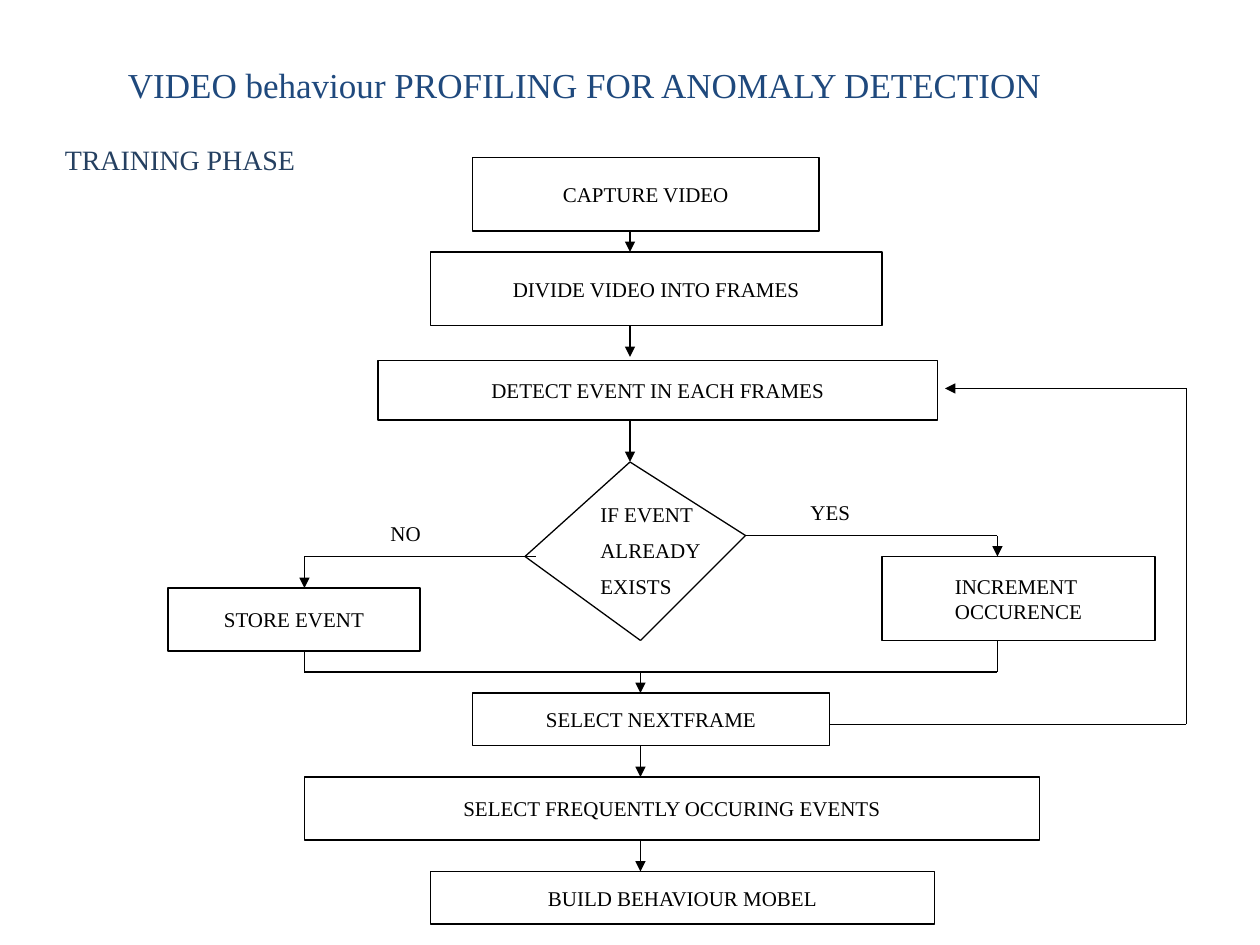
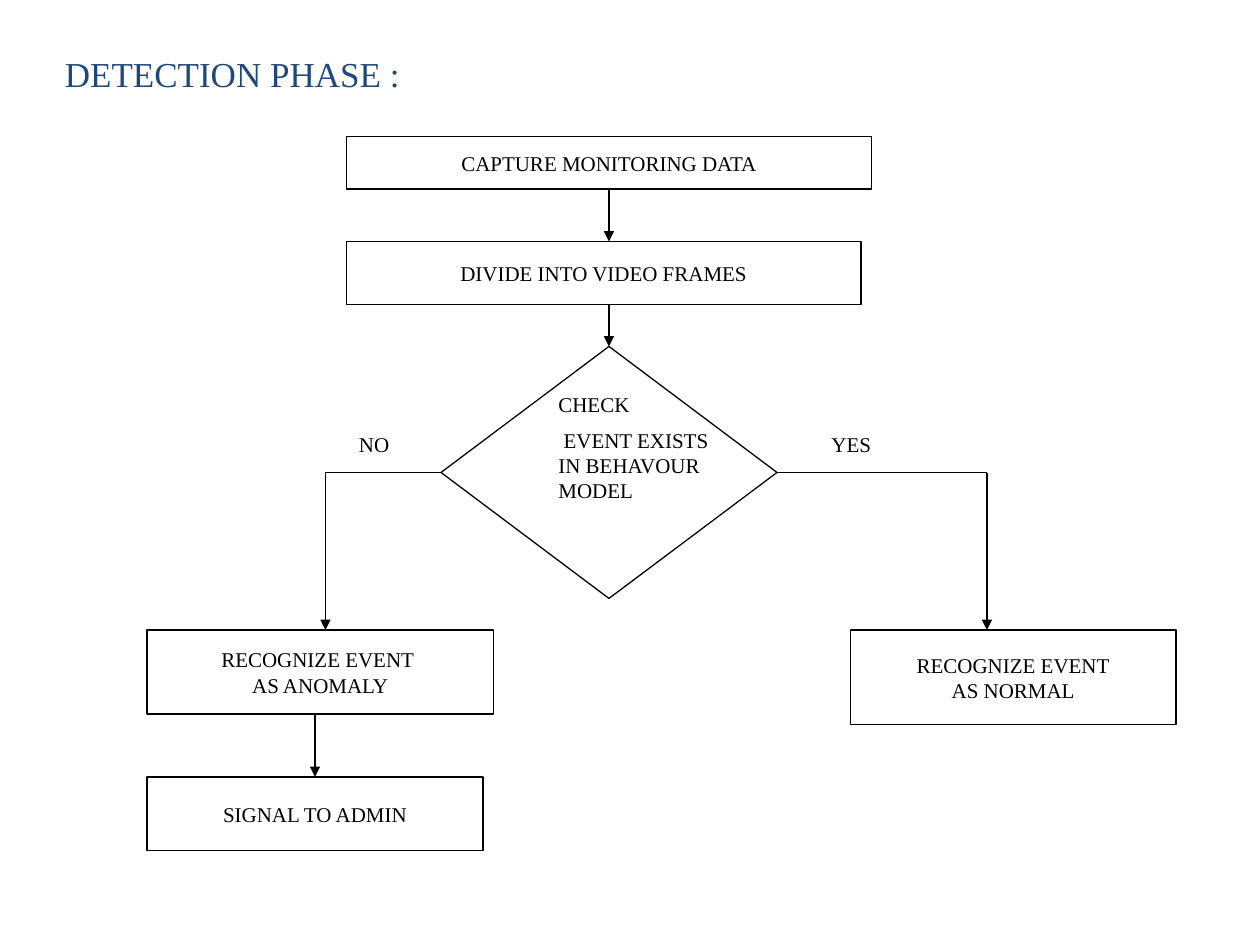
from lxml import etree
from pptx import Presentation
from pptx.dml.color import RGBColor
from pptx.enum.shapes import MSO_CONNECTOR, MSO_SHAPE
from pptx.enum.text import MSO_ANCHOR, MSO_AUTO_SIZE, PP_ALIGN
from pptx.oxml.ns import qn
from pptx.util import Cm, Pt

BLACK = RGBColor(0x00, 0x00, 0x00)
WHITE = RGBColor(0xFF, 0xFF, 0xFF)
TITLE_BLUE = RGBColor(0x1F, 0x49, 0x7D)
PHASE_BLUE = RGBColor(0x25, 0x40, 0x61)

RECTANGLE, DECISION = MSO_SHAPE.RECTANGLE, MSO_SHAPE.FLOWCHART_DECISION
STRAIGHT = MSO_CONNECTOR.STRAIGHT
TOP, MIDDLE = MSO_ANCHOR.TOP, MSO_ANCHOR.MIDDLE
LEFT, CENTER = PP_ALIGN.LEFT, PP_ALIGN.CENTER
GROW, FIXED = MSO_AUTO_SIZE.SHAPE_TO_FIT_TEXT, MSO_AUTO_SIZE.NONE
TOP_SITE, LEFT_SITE, BOTTOM_SITE, RIGHT_SITE = range(4)


def grid(*steps):
    """Turn steps of the drawing grid (twelve to the inch) into lengths."""
    return [Cm(step * 2.54 / 12) for step in steps]


def write(shape, text, size=12, color=BLACK, align=LEFT, anchor=TOP,
          gap=0, wrap=True, fit=FIXED, font="Times New Roman"):
    """Fill a shape with text, one paragraph to each line."""
    frame = shape.text_frame
    frame.word_wrap, frame.auto_size = wrap, fit
    frame.vertical_anchor = anchor
    for index, line in enumerate(text.split("\n")):
        para = frame.add_paragraph() if index else frame.paragraphs[0]
        para.alignment = align
        if index:
            para.space_before = Pt(gap)
        span = para.add_run()
        span.text = line
        span.font.size, span.font.name = Pt(size), font
        span.font.color.rgb = color


class FlowChart:
    """Shared style and the page being drawn; places are in grid steps."""

    def __init__(self):
        self.deck = Presentation()
        self.deck.slide_width, self.deck.slide_height = Cm(25.4), Cm(19.05)
        self.stroke = Pt(0.75)
        self.page = None

    def new_page(self):
        self.page = self.deck.slides.add_slide(self.deck.slide_layouts[6])

    def text(self, place, text, **style):
        box = self.page.shapes.add_textbox(*grid(*place))
        write(box, text, **style)

    def title(self, place, text):
        self.text(place, text, size=20, color=TITLE_BLUE, anchor=MIDDLE)

    def label(self, place, text):
        self.text(place, text, gap=6, fit=GROW)

    def box(self, place, text="", kind=RECTANGLE):
        box = self.page.shapes.add_shape(kind, *grid(*place))
        box.shadow.inherit = False
        box.fill.solid()
        box.fill.fore_color.rgb = WHITE
        box.line.color.rgb = BLACK
        box.line.width = self.stroke
        if text:
            write(box, text, align=CENTER, anchor=MIDDLE, wrap=False)
        return box

    def line(self, start, end, arrow=False, begin_at=None, end_at=None):
        line = self.page.shapes.add_connector(STRAIGHT, *grid(*start, *end))
        if begin_at:
            line.begin_connect(*begin_at)
        if end_at:
            line.end_connect(*end_at)
        line.line.color.rgb = BLACK
        line.line.width = self.stroke
        properties = line._element.spPr
        if arrow:
            outline = properties.find(qn("a:ln"))
            etree.SubElement(outline, qn("a:tailEnd"), type="triangle")
        etree.SubElement(properties, qn("a:effectLst"))

    def arrow(self, start, end, **joins):
        self.line(start, end, arrow=True, **joins)

    def route(self, *points, arrow=False):
        """Draw straight lines through the points, the last with a head."""
        legs = list(zip(points, points[1:]))
        for start, end in legs:
            self.line(start, end, arrow=arrow and (start, end) == legs[-1])


def draw_training(chart):
    chart.new_page()
    chart.title((11, 4, 102, 8),
                "VIDEO behaviour PROFILING FOR ANOMALY DETECTION")
    chart.text((5, 13, 35, 4), "TRAINING PHASE", size=16, color=PHASE_BLUE)

    # Steps
    for place, text in (
        ((45, 15, 33, 7), "CAPTURE VIDEO"),
        ((41, 24, 43, 7), "DIVIDE VIDEO INTO FRAMES"),
        ((36, 34.35, 53.3, 5.65), "DETECT EVENT IN EACH FRAMES"),
        ((16, 56, 24, 6), "STORE EVENT"),
        ((84, 53, 26, 8), "INCREMENT \nOCCURENCE"),
        ((45, 66, 34, 5), "SELECT NEXTFRAME"),
        ((29, 74, 70, 6), "SELECT FREQUENTLY OCCURING EVENTS"),
        ((41, 83, 48, 5), "BUILD BEHAVIOUR MOBEL"),
    ):
        chart.box(place, text)

    # Decision, an uneven diamond
    chart.label((56, 47.2, 14, 10.8), "IF EVENT\nALREADY\nEXISTS")
    chart.route((50, 53), (60, 44), (71, 51), (61, 61), (50, 53))

    # Arrows down the main column
    for x, top, bottom in ((60, 22, 24), (60, 31, 34), (60, 40, 44),
                           (61, 64, 66), (61, 71, 74), (61, 80, 83)):
        chart.arrow((x, top), (x, bottom))

    # Branches, their merge and the loop back
    chart.route((51, 53), (29, 53), (29, 56), arrow=True)
    chart.route((71, 51), (95, 51), (95, 53), arrow=True)
    chart.route((29, 62), (29, 64), (95, 64), (95, 61))
    chart.route((79, 69), (113, 69), (113, 37), (90, 37), arrow=True)
    chart.label((36, 49, 10, 3.6), "NO")
    chart.label((76, 47, 15, 3.6), "YES")


def draw_detection(chart):
    chart.new_page()
    chart.title((5, 4, 43, 6), "DETECTION PHASE :")

    # Steps and decision
    decision = chart.box((42, 33, 32, 24), kind=DECISION)
    capture = chart.box((33, 13, 50, 5), "CAPTURE MONITORING DATA")
    chart.box((33, 23, 49, 6), "DIVIDE INTO VIDEO FRAMES")
    chart.box((14, 60, 33, 8), "RECOGNIZE EVENT \nAS ANOMALY")
    signal = chart.box((14, 74, 32, 7), "SIGNAL TO ADMIN")
    chart.box((81, 60, 31, 9), "RECOGNIZE EVENT\nAS NORMAL")
    chart.label((52, 36.7, 19, 12.1),
                "CHECK\n EVENT EXISTS IN BEHAVOUR MODEL")

    # Arrows between steps
    chart.arrow((58, 18), (58, 23), begin_at=(capture, BOTTOM_SITE))
    chart.arrow((58, 29), (58, 33), end_at=(decision, TOP_SITE))
    chart.arrow((30, 68), (30, 74), end_at=(signal, TOP_SITE))

    # Branches
    for text, site, tip, x, place in (
        ("NO", LEFT_SITE, 42, 31, (33, 40.5, 10, 3.6)),
        ("YES", RIGHT_SITE, 74, 94, (78, 40.5, 15, 3.6)),
    ):
        chart.line((tip, 45), (x, 45), begin_at=(decision, site))
        chart.arrow((x, 45), (x, 60))
        chart.label(place, text)


def main():
    chart = FlowChart()
    draw_training(chart)
    draw_detection(chart)
    chart.deck.save("out.pptx")


if __name__ == "__main__":
    main()
